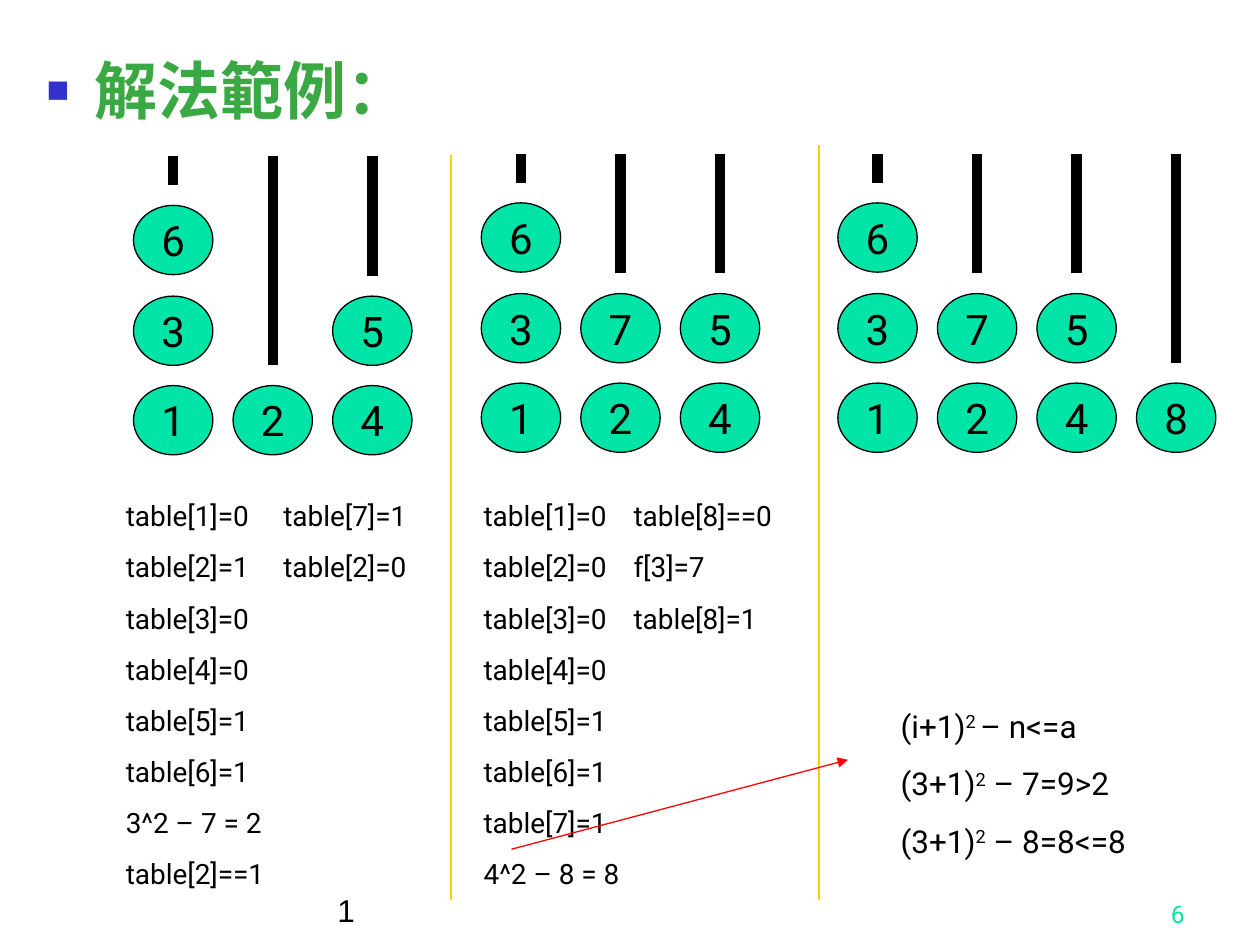
import pptx
import pptx.util
import pptx.dml.color
import pptx.enum.shapes
import pptx.enum.text
import pptx.oxml.ns
from dataclasses import dataclass
from lxml import etree

Inches = pptx.util.Inches
Pt = pptx.util.Pt
Align = pptx.enum.text.PP_ALIGN
Anchor = pptx.enum.text.MSO_ANCHOR


@dataclass(frozen=True)
class Theme:
    font: str = "Roboto"
    head: str = "Times New Roman"
    plain: str = "Arial"
    black: str = "000000"
    green: str = "3BA943"
    mint: str = "00E4A8"
    blue: str = "3333CC"
    gold: str = "FFCF01"
    red: str = "FF0000"
    title: int = 36
    ball: int = 24
    math: int = 18
    step: int = 16
    page: int = 14


THEME = Theme()

# Ball sizes and the grid of each peg board
WIDE, HIGH = 0.63, 0.55
PITCH = 0.79
RISE = (0, 0.71, 1.43)
GAP = 0.16
REACH = 1.82

# Left edge, bottom ball row, and balls on each peg from the bottom up
BOARDS = (
    (1.06, 3.06, ("136", "2", "45")),
    (3.82, 3.04, ("136", "27", "45")),
    (6.65, 3.04, ("136", "27", "45", "8")),
)

# Left edge, width, tab stop and lines of each trace
TRACES = (
    (0.9, 2.68, 1.25, (
        "table[1]=0\ttable[7]=1", "table[2]=1\ttable[2]=0", "table[3]=0",
        "table[4]=0", "table[5]=1", "table[6]=1", "3^2 – 7 = 2",
        "table[2]==1")),
    (3.74, 2.84, 1.19, (
        "table[1]=0\ttable[8]==0", "table[2]=0\tf[3]=7",
        "table[3]=0\ttable[8]=1", "table[4]=0", "table[5]=1", "table[6]=1",
        "table[7]=1", "4^2 – 8 = 8")),
)

RULES = (
    ("(i+1)", "2 ", "– n<=a"),
    ("(3+1)", "2", " – 7=9>2"),
    ("(3+1)", "2", " – 8=8<=8"),
)


def rgb(code):
    return pptx.dml.color.RGBColor.from_string(code)


def sub(node, tag, **attrs):
    child = etree.SubElement(node, pptx.oxml.ns.qn(tag))
    for key, value in attrs.items():
        child.set(key, str(value))
    return child


def style(para, size, color=THEME.black, font=THEME.font, bold=False):
    for run in para.runs:
        run.font.size = Pt(size)
        run.font.color.rgb = rgb(color)
        run.font.name = font
        run.font.bold = bold


def add_box(slide, left, top, width, height):
    box = slide.shapes.add_textbox(
        Inches(left), Inches(top), Inches(width), Inches(height))
    box.text_frame.word_wrap = True
    return box.text_frame


def add_line(slide, start, end, color, width=0.75, arrow=False):
    line = slide.shapes.add_connector(
        pptx.enum.shapes.MSO_CONNECTOR.STRAIGHT,
        *(Inches(value) for value in (*start, *end)))
    line.line.color.rgb = rgb(color)
    line.line.width = Pt(width)
    if arrow:
        sub(line.line._get_or_add_ln(), "a:tailEnd", type="triangle")
    sub(line._element.spPr, "a:effectLst")


def add_ball(slide, left, top, label):
    ball = slide.shapes.add_shape(
        pptx.enum.shapes.MSO_SHAPE.OVAL,
        Inches(left), Inches(top), Inches(WIDE), Inches(HIGH))
    ball.shadow.inherit = False
    ball.fill.solid()
    ball.fill.fore_color.rgb = rgb(THEME.mint)
    ball.line.color.rgb = rgb(THEME.black)
    ball.line.width = Pt(0.75)
    frame = ball.text_frame
    frame.word_wrap = False
    frame.vertical_anchor = Anchor.MIDDLE
    frame.text = label
    para = frame.paragraphs[0]
    para.alignment = Align.CENTER
    style(para, THEME.ball)


def add_board(slide, left, base, pegs):
    for col, balls in enumerate(pegs):
        x = left + col * PITCH
        for rise, label in zip(RISE, balls):
            add_ball(slide, x, base - rise, label)
        # The free part of the peg hangs above its top ball
        mid = x + WIDE / 2
        low = base - RISE[len(balls) - 1] - GAP
        add_line(slide, (mid, low), (mid, base - REACH), THEME.black, 6)


def add_trace(slide, left, width, stop, lines):
    frame = add_box(slide, left, 3.91, width, 3.21)
    frame.text = "\n".join(lines)
    for row, para in enumerate(frame.paragraphs):
        if row:
            para.space_before = Pt(10)
        if "\t" in lines[row]:
            tabs = sub(para._p.get_or_add_pPr(), "a:tabLst")
            sub(tabs, "a:tab", pos=Inches(stop), algn="l")
        style(para, THEME.step)


def add_rules(slide):
    frame = add_box(slide, 7.05, 5.56, 2.2, 1.32)
    for row, parts in enumerate(RULES):
        para = frame.add_paragraph() if row else frame.paragraphs[0]
        if row:
            para.space_before = Pt(11.2)
        for part in parts:
            para.add_run().text = part
        style(para, THEME.math)
        para.runs[1].font._element.set("baseline", "30000")


def add_note(slide, left, width, text, align, **look):
    frame = add_box(slide, left, 6.92, width, 0.5)
    frame.vertical_anchor = Anchor.BOTTOM
    frame.text = text
    frame.paragraphs[0].alignment = align
    style(frame.paragraphs[0], **look)


def set_title(slide, text):
    title = slide.shapes.title
    title.left, title.top = Inches(0.27), Inches(0.36)
    title.width, title.height = Inches(9.21), Inches(0.85)
    frame = title.text_frame
    frame.auto_size = pptx.enum.text.MSO_AUTO_SIZE.NONE
    frame.vertical_anchor = Anchor.TOP
    frame.text = text
    para = frame.paragraphs[0]
    para.alignment = Align.LEFT
    para.space_before = Pt(0)
    # Hanging square bullet
    props = para._p.get_or_add_pPr()
    props.set("marL", str(Inches(0.38)))
    props.set("indent", str(Inches(-0.38)))
    sub(sub(props, "a:buClr"), "a:srgbClr", val=THEME.blue)
    sub(props, "a:buSzPct", val=60000)
    sub(props, "a:buFont", typeface=THEME.plain)
    sub(props, "a:buChar", char="■")
    style(para, THEME.title, THEME.green, THEME.head, True)


def main():
    deck = pptx.Presentation()
    deck.slide_width, deck.slide_height = Inches(10), Inches(7.5)
    slide = deck.slides.add_slide(deck.slide_layouts[5])
    set_title(slide, "解法範例：")

    # Peg boards and their traces
    for board in BOARDS:
        add_board(slide, *board)
    for trace in TRACES:
        add_trace(slide, *trace)

    # Column dividers
    for x, top in ((3.58, 1.23), (6.5, 1.15)):
        add_line(slide, (x, top), (x, 7.14), THEME.gold)

    # Formulas and the arrow that leads to them
    add_rules(slide)
    add_line(slide, (4.06, 6.74), (6.73, 6.03), THEME.red, arrow=True)

    # Footer
    add_note(slide, 2.58, 5.42, "1", Align.LEFT,
             size=THEME.math, font=THEME.plain)
    add_note(slide, 7.42, 2.08, "6", Align.RIGHT,
             size=THEME.page, color=THEME.mint)
    deck.save("out.pptx")


if __name__ == "__main__":
    main()
